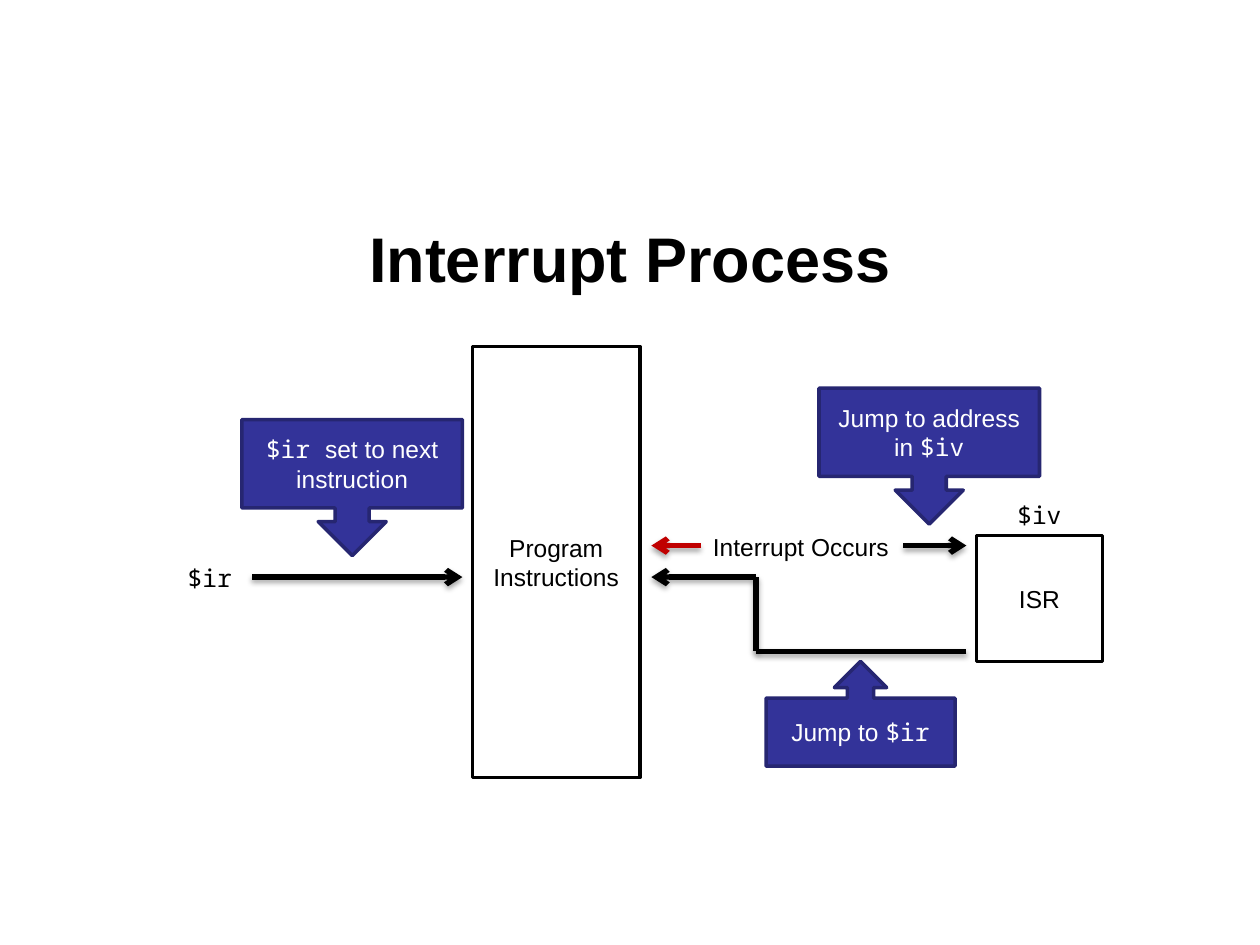
import pptx
import pptx.dml.color
import pptx.enum.shapes
import pptx.enum.text
import pptx.oxml
import pptx.oxml.ns
import pptx.util

Inches = pptx.util.Inches
Pt = pptx.util.Pt
RGBColor = pptx.dml.color.RGBColor
ShapeType = pptx.enum.shapes.MSO_SHAPE
Align = pptx.enum.text.PP_ALIGN
Anchor = pptx.enum.text.MSO_ANCHOR

BLACK = RGBColor(0x00, 0x00, 0x00)
WHITE = RGBColor(0xFF, 0xFF, 0xFF)
RED = RGBColor(0xC0, 0x00, 0x00)
INDIGO = RGBColor(0x33, 0x33, 0x99)
DARK_INDIGO = RGBColor(0x26, 0x26, 0x71)
SANS = "Arial"
MONO = "Noto Sans Mono"

SHADOW_XML = (
    f'<a:effectLst {pptx.oxml.ns.nsdecls("a")}>'
    '<a:outerShdw blurRad="39370" dist="22860" dir="5400000" rotWithShape="0">'
    '<a:srgbClr val="000000"><a:alpha val="35000"/></a:srgbClr>'
    '</a:outerShdw></a:effectLst>'
)
ARROW_XML = f'<a:tailEnd {pptx.oxml.ns.nsdecls("a")} type="arrow"/>'


def write_text(shape, runs, size=14, color=BLACK, bold=False,
               align=Align.CENTER, anchor=Anchor.MIDDLE, wrap=True):
    """Fill a shape with one paragraph of (text, font name) runs."""
    frame = shape.text_frame
    frame.word_wrap = wrap
    frame.vertical_anchor = anchor
    paragraph = frame.paragraphs[0]
    paragraph.alignment = align
    for text, font_name in runs:
        run = paragraph.add_run()
        run.text = text
        run.font.name = font_name
        run.font.size = Pt(size)
        run.font.bold = bold
        run.font.color.rgb = color


def add_label(slide, left, top, width, height, runs, **text_format):
    label = slide.shapes.add_textbox(
        Inches(left), Inches(top), Inches(width), Inches(height))
    write_text(label, runs, **text_format)


def add_block(slide, kind, left, top, width, height, runs,
              fill=WHITE, line=BLACK, **text_format):
    block = slide.shapes.add_shape(
        kind, Inches(left), Inches(top), Inches(width), Inches(height))
    block.shadow.inherit = False
    block.fill.solid()
    block.fill.fore_color.rgb = fill
    block.line.color.rgb = line
    block.line.width = Pt(2)
    write_text(block, runs, **text_format)


def add_callout(slide, kind, left, top, width, height, runs):
    add_block(slide, kind, left, top, width, height, runs,
              fill=INDIGO, line=DARK_INDIGO, color=WHITE)


def add_line(slide, start, end, color=BLACK, arrow=True):
    connector = slide.shapes.add_connector(
        pptx.enum.shapes.MSO_CONNECTOR.STRAIGHT,
        *(Inches(value) for value in (*start, *end)))
    connector.line.color.rgb = color
    connector.line.width = Pt(3)
    if arrow:
        connector.line._get_or_add_ln().append(pptx.oxml.parse_xml(ARROW_XML))
    connector._element.spPr.append(pptx.oxml.parse_xml(SHADOW_XML))


def add_title(slide, left, top, width, height):
    add_label(slide, left, top, width, height,
              [("Interrupt Process", SANS)], size=36, bold=True)


def add_program(slide, left, top, width, height):
    """Instruction register on the left, program block on the right."""
    block_width = 1.33
    block_left = left + width - block_width
    arrow_y = top + 1.83
    add_block(slide, ShapeType.RECTANGLE, block_left, top, block_width, height,
              [("Program Instructions", SANS)])
    add_label(slide, left, arrow_y - 0.16, 0.67, 0.34, [("$ir", MONO)],
              anchor=Anchor.TOP)
    add_line(slide, (left + 0.67, arrow_y), (block_left - 0.08, arrow_y))
    add_callout(slide, ShapeType.DOWN_ARROW_CALLOUT,
                block_left - 1.83, top + 0.58, 1.75, 1.08,
                [("$ir ", MONO), ("set to next instruction", SANS)])


def add_interrupt(slide, left, top, width, height):
    """Interrupt signal, jump to the service routine, and the way back."""
    routine_size = 1
    routine_left = left + width - routine_size
    signal_y = top + 1.25
    return_y, routine_y = signal_y + 0.25, signal_y + 0.84
    line_end = routine_left - 0.08
    bend_x = left + 0.83

    # Service routine and its vector
    add_block(slide, ShapeType.RECTANGLE, routine_left, signal_y - 0.08,
              routine_size, routine_size, [("ISR", SANS)])
    add_label(slide, routine_left, signal_y - 0.41, routine_size, 0.34,
              [("$iv", MONO)], anchor=Anchor.TOP)

    # Interrupt signal
    add_label(slide, left + 0.39, signal_y - 0.16, 1.6, 0.34,
              [("Interrupt Occurs", SANS)], align=Align.LEFT,
              anchor=Anchor.TOP, wrap=False)
    add_line(slide, (left + 0.39, signal_y), (left, signal_y), color=RED)
    add_line(slide, (line_end - 0.5, signal_y), (line_end, signal_y))

    # Return path
    add_line(slide, (bend_x, return_y), (left, return_y))
    add_line(slide, (bend_x, return_y), (bend_x, routine_y), arrow=False)
    add_line(slide, (line_end, routine_y), (bend_x, routine_y), arrow=False)

    # Explanations
    add_callout(slide, ShapeType.DOWN_ARROW_CALLOUT,
                left + 1.33, top, 1.75, 1.08,
                [("Jump to address in ", SANS), ("$iv", MONO)])
    add_callout(slide, ShapeType.UP_ARROW_CALLOUT,
                bend_x + 0.08, top + height - 0.83, 1.5, 0.83,
                [("Jump to ", SANS), ("$ir", MONO)])


def main():
    presentation = pptx.Presentation()
    presentation.slide_width = Inches(10)
    presentation.slide_height = Inches(7.5)
    slide = presentation.slides.add_slide(presentation.slide_layouts[6])
    add_title(slide, 0.5, 1.42, 9, 1.25)
    add_program(slide, 1.33, 2.75, 3.75, 3.42)
    add_interrupt(slide, 5.17, 3.08, 3.58, 3)
    presentation.save("out.pptx")


if __name__ == "__main__":
    main()
